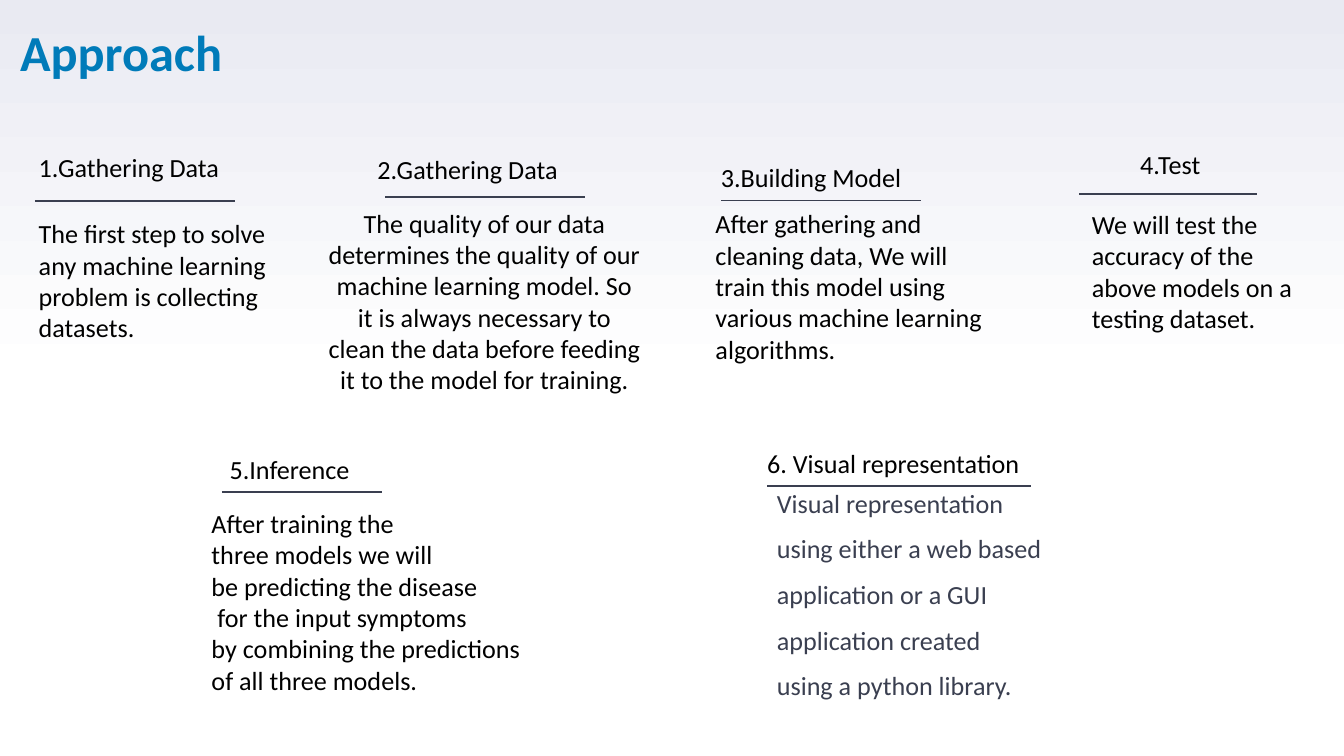
from pptx import Presentation
from pptx import util as u
from pptx.dml.color import RGBColor
from pptx.enum import shapes, text
from pptx.oxml.xmlchemy import OxmlElement

BLUE = RGBColor(0x00, 0x7B, 0xB9)
SLATE = RGBColor(0x3A, 0x3F, 0x50)
BLACK = RGBColor(0x00, 0x00, 0x00)
WHITE = RGBColor(0xFF, 0xFF, 0xFF)
LAVENDER = RGBColor(0xE9, 0xEA, 0xF2)

FONT = "Calibri"
SLIDE_W = u.Inches(10)
SLIDE_H = SLIDE_W * 9 // 16
CELL = SLIDE_W / 100
HEADING_ROWS = 3.4
LEFT, CENTER = text.PP_ALIGN.LEFT, text.PP_ALIGN.CENTER

STEPS = [
    dict(box=(1.9, 10.8), title="1.Gathering Data", width=50.4,
         rule=(0.7, 4.15, 14.9), body=(0, 4.9, 50.4, 10.4),
         lines=["The first step to solve", "any machine learning",
                "problem is collecting", "datasets."]),
    dict(box=(27.1, 10.9), title="2.Gathering Data", width=50.4,
         rule=(1.55, 3.75, 14.9), body=(-3.65, 4, 25.2, 17.5), align=CENTER,
         lines=["The quality of our data determines the quality of our "
                "machine learning model. So it is always necessary to clean "
                "the data before feeding it to the model for training."]),
    dict(box=(52.65, 11.5), title="3.Building Model", width=50.4,
         rule=(1, 3.4, 14.9), body=(-0.4, 3.45, 51.9, 12.8),
         lines=["After gathering and", "cleaning data, We will",
                "train this model using", "various machine learning",
                "algorithms."]),
    dict(box=(83.85, 10.55), title="4.Test", width=7.8,
         rule=(-3.55, 3.9, 13.2), body=(-3.6, 4.45, 52.5, 10.4),
         lines=["We will test the", "accuracy of the",
                "above models on a", "testing dataset."]),
    dict(box=(16.1, 33.25), title="5.Inference", width=12.7,
         rule=(0.4, 3.35, 11.9), body=(-1.35, 4, 28.1, 15.1),
         lines=["After training the", "three models we will",
                "be predicting the disease", " for the input symptoms",
                "by combining the predictions", "of all three models."]),
    dict(box=(56.1, 32.8), title="6. Visual representation", width=66.7,
         rule=(1, 3.35, 19.6)),
]
OUTCOME = ["Visual representation", "using either a web based",
           "application or a GUI", "application created",
           "using a python library."]


def cells(*counts):
    return [round(n * CELL) for n in counts]


def place(sp, *box):
    sp.left, sp.top, sp.width, sp.height = cells(*box)


def write(tf, lines, size=14, color=BLACK, bold=False, align=LEFT,
          spacing=None, before=0, insets=(0.1, 0.05)):
    tf.word_wrap = True
    tf.auto_size = text.MSO_AUTO_SIZE.NONE
    tf.vertical_anchor = text.MSO_ANCHOR.TOP
    tf.margin_left = tf.margin_right = u.Inches(insets[0])
    tf.margin_top = tf.margin_bottom = u.Inches(insets[1])
    for i, line in enumerate(lines):
        p = tf.add_paragraph() if i else tf.paragraphs[0]
        p.alignment = align
        p.space_before = u.Pt(before if i else 0)
        if spacing:
            p.line_spacing = spacing
        r = p.add_run()
        r.text = line
        r.font.name, r.font.size, r.font.bold = FONT, u.Pt(size), bold
        r.font.color.rgb = color


def remove_bullets(tf):
    for p in tf.paragraphs:
        pPr = p._p.get_or_add_pPr()
        pPr.set("marL", "0")
        pPr.set("indent", "0")
        pPr.append(OxmlElement("a:buNone"))


def add_text(s, box, lines, **fmt):
    write(s.shapes.add_textbox(*cells(*box)).text_frame, lines, **fmt)


def add_rule(s, x, y, width):
    line = s.shapes.add_connector(
        shapes.MSO_CONNECTOR.STRAIGHT, *cells(x, y, x + width, y))
    line.line.color.rgb = SLATE
    line.line.width = u.Pt(0.75)
    line._element.spPr.append(OxmlElement("a:effectLst"))


def add_step(s, box, title, width, rule, body=None, lines=(), align=LEFT):
    x, y = box
    add_text(s, (x, y, width, HEADING_ROWS), [title])
    add_rule(s, x + rule[0], y + rule[1], rule[2])
    if body:
        dx, dy, w, h = body
        add_text(s, (x + dx, y + dy, w, h), lines, align=align)


def add_background(s):
    fill = s.background.fill
    fill.gradient()
    fill.gradient_angle = 90
    for stop, position, color in zip(
            fill.gradient_stops, (0.5, 1), (WHITE, LAVENDER)):
        stop.position = position
        stop.color.rgb = color


def add_title(s):
    sp = s.shapes.title
    place(sp, 1.5, 2.4, 61.7, 11.8)
    write(sp.text_frame, ["Approach"], size=27, color=BLUE, bold=True,
          spacing=0.8, insets=(0, 0))


def add_outcome(s):
    sp = s.placeholders[1]
    place(sp, 57.1, 35.6, 28.1, 13.9)
    write(sp.text_frame, OUTCOME, color=SLATE, spacing=1.1, before=6,
          insets=(0.07, 0.04))
    remove_bullets(sp.text_frame)


def main():
    prs = Presentation()
    prs.slide_width, prs.slide_height = SLIDE_W, SLIDE_H
    s = prs.slides.add_slide(prs.slide_layouts[1])
    add_background(s)
    add_title(s)
    add_outcome(s)
    for step in STEPS:
        add_step(s, **step)
    prs.save("out.pptx")


if __name__ == "__main__":
    main()
